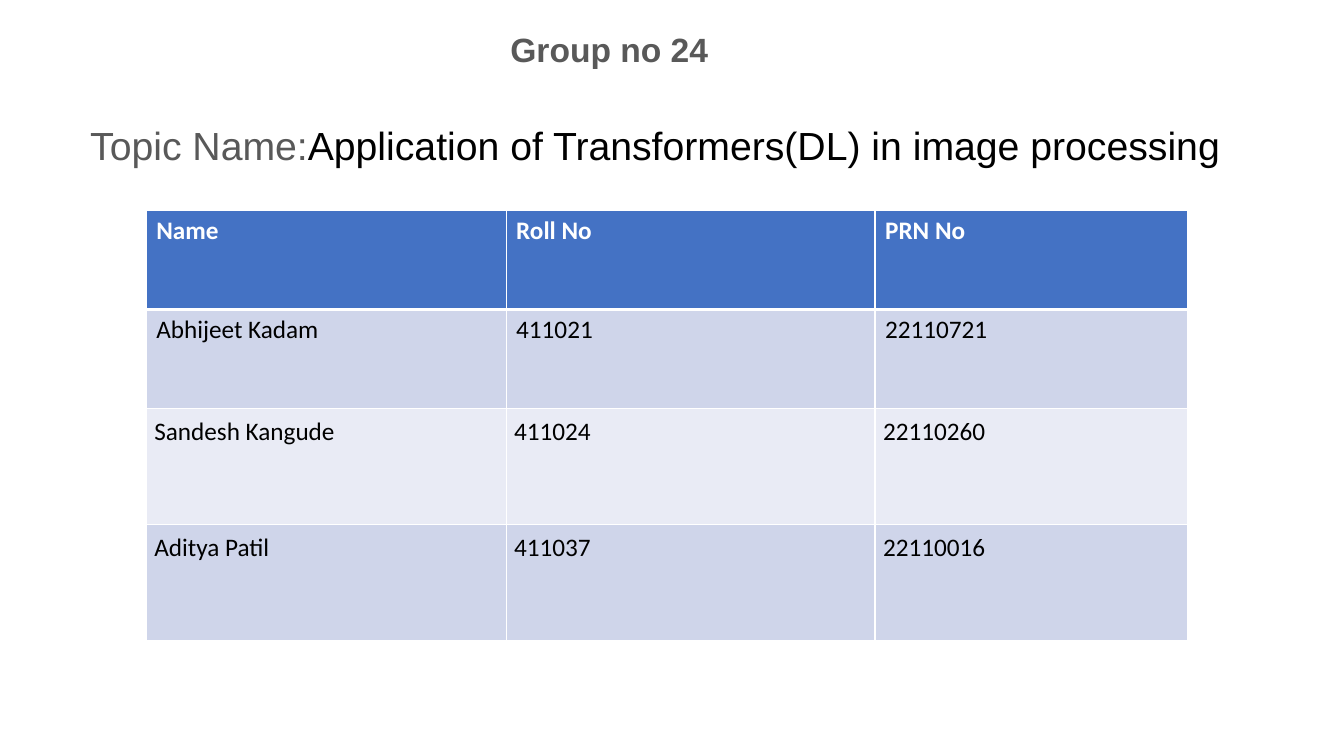
from lxml.etree import SubElement
from pptx import Presentation
from pptx.dml.color import RGBColor
from pptx.enum.text import PP_ALIGN as Align
from pptx.oxml.ns import qn
from pptx.util import Inches, Pt

GREY, BLACK, WHITE = "595959", "000000", "FFFFFF"
HEADER_BLUE, BAND_DARK, BAND_LIGHT = "4472C4", "CFD5EA", "E9EBF5"


def rgb(value):
    return RGBColor.from_string(value)


class GroupSlide:
    heading_font = "Arial"
    table_font = "Calibri"
    table_size = 18

    def __init__(self, deck):
        self.slide = deck.slides.add_slide(deck.slide_layouts[6])
        self.column = deck.slide_width / 100
        self.row = deck.slide_height / 100

    def across(self, columns):
        return round(columns * self.column)

    def down(self, rows):
        return round(rows * self.row)

    def place(self, left, top, width, height):
        return self.across(left), self.down(top), self.across(width), self.down(height)

    def style(self, run, font, size, color, bold=False):
        run.font.name = font
        run.font.size = Pt(size)
        run.font.bold = bold
        run.font.color.rgb = rgb(color)

    def heading(self, area, parts, size, bold=False):
        frame = self.slide.shapes.add_textbox(*self.place(*area)).text_frame
        frame.word_wrap = True
        line = frame.paragraphs[0]
        line.alignment = Align.CENTER
        for words, color in parts:
            run = line.add_run()
            run.text = words
            self.style(run, self.heading_font, size, color, bold)

    def border(self, cell, side, points):
        properties = cell._tc.get_or_add_tcPr()
        edge = SubElement(properties, qn(f"a:ln{side}"), w=str(Pt(points)))
        fill = SubElement(edge, qn("a:solidFill"))
        SubElement(fill, qn("a:srgbClr"), val=WHITE)

    def members(self, left, top, widths, heights, rows):
        area = self.place(left, top, sum(widths), sum(heights))
        table = self.slide.shapes.add_table(len(rows), len(widths), *area).table
        for column, width in zip(table.columns, widths):
            column.width = self.across(width)
        for index, (height, values) in enumerate(zip(heights, rows)):
            table.rows[index].height = self.down(height)
            for cell, value in zip(table.rows[index].cells, values):
                self.member_cell(cell, value, index)

    def member_cell(self, cell, value, index):
        header = index == 0
        cell.text_frame.text = value
        color = WHITE if header else BLACK
        run = cell.text_frame.paragraphs[0].runs[0]
        self.style(run, self.table_font, self.table_size, color, header)
        if index > 1:
            cell.margin_left = cell.margin_right = Inches(0.08)
            cell.margin_top = cell.margin_bottom = Inches(0.08)
        edges = {"L": 1, "R": 1, "T": 3 if index == 1 else 1, "B": 3 if header else 1}
        for side, points in edges.items():
            self.border(cell, side, points)
        cell.fill.solid()
        band = BAND_DARK if index % 2 else BAND_LIGHT
        cell.fill.fore_color.rgb = rgb(HEADER_BLUE if header else band)


def main():
    deck = Presentation()
    deck.slide_width, deck.slide_height = Inches(13.33), Inches(7.5)
    page = GroupSlide(deck)
    page.heading((20.7, 3.2, 49.96, 14.8), [("Group no 24 ", GREY)], 24, bold=True)
    topic = [
        ("Topic Name:", GREY),
        ("Application of Transformers(DL) in image processing", BLACK),
    ]
    page.heading((4.43, 15.33, 88.6, 20.13), topic, 28)
    page.members(
        10.88, 27.87,
        widths=(26.78, 27.45, 23.25),
        heights=(13.07, 13.07, 15.4, 15.4),
        rows=[
            ("Name", "Roll No", "PRN No"),
            ("Abhijeet Kadam", "411021", "22110721"),
            ("Sandesh Kangude", "411024", "22110260"),
            ("Aditya Patil", "411037", "22110016"),
        ],
    )
    deck.save("out.pptx")


if __name__ == "__main__":
    main()
